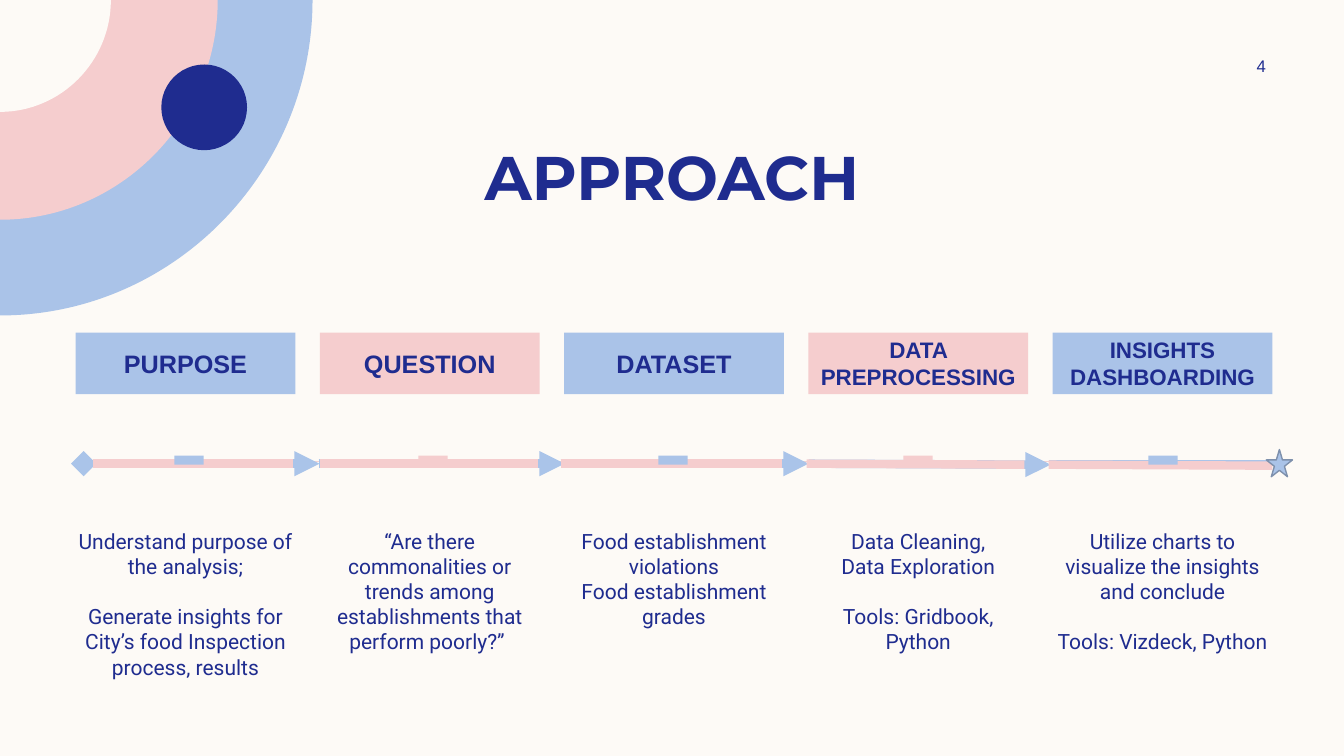
from dataclasses import dataclass

from lxml.etree import SubElement
from pptx import Presentation
from pptx.dml.color import RGBColor
from pptx.enum.shapes import MSO_CONNECTOR, MSO_SHAPE
from pptx.enum.text import MSO_ANCHOR, PP_ALIGN
from pptx.oxml.ns import qn
from pptx.util import Inches, Pt


@dataclass(frozen=True)
class Theme:
    paper: str = "FDFAF6"
    navy: str = "1F2C8F"
    blue: str = "AAC3E8"
    arrow: str = "AAC4E9"
    pink: str = "F5CDCE"
    hairline: str = "F2D1D1"
    star_edge: str = "7E90AC"
    title_font: str = "Montserrat"
    label_font: str = "Arial"
    body_font: str = "Roboto"
    title_size: float = 44
    label_size: float = 18
    long_label_size: float = 16
    body_size: float = 15
    number_size: float = 12
    block_gap: float = 18


@dataclass(frozen=True)
class Step:
    """One column: text blocks set apart by a gap, and lines as (x1, y1, x2, y2)."""
    label: str
    blocks: tuple
    arrow: tuple
    rail: tuple
    marker: float


T = Theme()
STEPS = [
    Step("PURPOSE",
         (("Understand purpose of the analysis;",),
          ("Generate insights for City’s food Inspection process, results",)),
         (0.83, 4.6, 3.17, 4.6), (0.92, 4.6, 2.91, 4.6), 1.73),
    Step("QUESTION",
         (("“Are there commonalities or trends among establishments "
           "that perform poorly?” ",),),
         (3.16, 4.6, 5.6, 4.6), (3.17, 4.6, 5.34, 4.6), 4.15),
    Step("DATASET",
         (("Food establishment violations", "Food establishment grades"),),
         (5.56, 4.6, 8.02, 4.6), (5.56, 4.6, 7.76, 4.6), 6.53),
    Step("DATA PREPROCESSING",
         (("Data Cleaning,", "Data Exploration"),
          ("Tools: Gridbook, Python",)),
         (8.02, 4.6, 10.42, 4.61), (8, 4.6, 10.16, 4.61), 8.96),
    Step("INSIGHTS DASHBOARDING",
         (("Utilize charts to visualize the insights and conclude",),
          ("Tools: Vizdeck, Python",)),
         (10.4, 4.61, 12.62, 4.61), (10.4, 4.61, 12.62, 4.62), 11.39),
]
COLUMN_LEFT, LAST_COLUMN_LEFT, COLUMN_WIDTH = 0.75, 10.44, 2.18
COLUMN_PITCH = (LAST_COLUMN_LEFT - COLUMN_LEFT) / (len(STEPS) - 1)


def rgb(color):
    return RGBColor.from_string(color)


def paint(sp, fill, line=None):
    sp.shadow.inherit = False
    sp.fill.solid()
    sp.fill.fore_color.rgb = rgb(fill)
    if line:
        sp.line.color.rgb = rgb(line)
        sp.line.width = Pt(1)
    else:
        sp.line.fill.background()


def add_shape(s, kind, x, y, w, h, fill, line=None):
    sp = s.shapes.add_shape(kind, Inches(x), Inches(y), Inches(w), Inches(h))
    paint(sp, fill, line)
    return sp


def add_box(s, x, y, w, h):
    return s.shapes.add_textbox(Inches(x), Inches(y), Inches(w), Inches(h))


def write(sp, blocks, *, font, size, bold=False, anchor=MSO_ANCHOR.MIDDLE,
          inset_x=0, inset_y=0):
    """Fill a shape with centred paragraphs, with a gap before each later block."""
    tf = sp.text_frame
    tf.word_wrap = True
    tf.vertical_anchor = anchor
    tf.margin_left = tf.margin_right = Inches(inset_x)
    tf.margin_top = tf.margin_bottom = Inches(inset_y)
    p = None
    for b, block in enumerate(blocks):
        for i, line in enumerate(block):
            p = tf.add_paragraph() if p is not None else tf.paragraphs[0]
            p.alignment = PP_ALIGN.CENTER
            if b and i == 0:
                p.space_before = Pt(T.block_gap)
            r = p.add_run()
            r.text = line
            r.font.name, r.font.size, r.font.bold = font, Pt(size), bold
            r.font.color.rgb = rgb(T.navy)


def add_line(s, x1, y1, x2, y2, color, width, head=None, tail=None):
    c = s.shapes.add_connector(MSO_CONNECTOR.STRAIGHT, Inches(x1), Inches(y1),
                               Inches(x2), Inches(y2))
    c.line.color.rgb = rgb(color)
    c.line.width = Pt(width)
    ln = c.line._get_or_add_ln()
    for tag, kind in (("a:headEnd", head), ("a:tailEnd", tail)):
        if kind:
            SubElement(ln, qn(tag), type=kind)
    SubElement(c._element.spPr, qn("a:effectLst"))


def add_quarter_disc(s, x, y, rx, ry, fill):
    """Lower right quarter of an ellipse centred on (x, y), with one Bézier arc."""
    outline = s.shapes.build_freeform(Inches(x), Inches(y))
    outline.add_line_segments([(Inches(x + rx), Inches(y)),
                               (Inches(x), Inches(y + ry))], close=True)
    sp = outline.convert_to_shape()
    chord = list(sp._element.iter(qn("a:lnTo")))[1]
    chord.tag = qn("a:cubicBezTo")
    bend = 0.55
    for i, (px, py) in enumerate(((rx, ry * bend), (rx * bend, ry))):
        pt = chord.makeelement(qn("a:pt"), {"x": str(Inches(px)),
                                            "y": str(Inches(py))})
        chord.insert(i, pt)
    paint(sp, fill)


def corner_rings(s, x, y):
    for rx, ry, fill in ((3.1, 3.13, T.blue), (2.16, 2.18, T.pink),
                         (1.1, 1.11, T.paper)):
        add_quarter_disc(s, x, y, rx, ry, fill)
    add_shape(s, MSO_SHAPE.OVAL, x + 1.6, y + 0.64, 0.85, 0.85, T.navy)


def heading(s, x, y, w, h):
    write(add_box(s, x, y, w, h), [["APPROACH"]], font=T.title_font,
          size=T.title_size, bold=True, inset_x=0.1, inset_y=0.05)


def page_number(s, x, y, w, h):
    write(add_box(s, x, y, w, h), [["4"]], font=T.label_font,
          size=T.number_size, inset_x=0.1, inset_y=0.05)


def step_column(s, step, x, y, w, fill):
    size = T.long_label_size if " " in step.label else T.label_size
    label = add_shape(s, MSO_SHAPE.RECTANGLE, x, y, w, 0.61, fill)
    write(label, [[step.label]], font=T.label_font, size=size, bold=True)
    write(add_box(s, x, y + 1.89, w, 0.87), step.blocks, font=T.body_font,
          size=T.body_size, anchor=MSO_ANCHOR.TOP, inset_y=0.05)


def timeline(s, fills):
    for i, step in enumerate(STEPS):
        add_line(s, *step.arrow, T.arrow, 6,
                 head="diamond" if i == 0 else None,
                 tail="triangle" if i < len(STEPS) - 1 else None)
    for step, fill in zip(STEPS, fills):
        add_line(s, *step.rail, T.pink, 6)
        add_shape(s, MSO_SHAPE.RECTANGLE, step.marker, 4.52, 0.29, 0.09, fill)
    add_shape(s, MSO_SHAPE.STAR_5_POINT, 12.56, 4.46, 0.26, 0.27,
              T.blue, T.star_edge)


def approach_slide(prs):
    s = prs.slides.add_slide(prs.slide_layouts[6])
    s.background.fill.solid()
    s.background.fill.fore_color.rgb = rgb(T.paper)
    corner_rings(s, 0, 0)
    add_line(s, 0.81, 4.58, 12.63, 4.58, T.hairline, 1)
    heading(s, 0.83, 1.32, 11.67, 0.84)
    page_number(s, 11.97, 0.5, 1.08, 0.3)
    fills = [(T.blue, T.pink)[i % 2] for i in range(len(STEPS))]
    for i, step in enumerate(STEPS):
        step_column(s, step, COLUMN_LEFT + i * COLUMN_PITCH, 3.3,
                    COLUMN_WIDTH, fills[i])
    timeline(s, fills)


def main():
    prs = Presentation()
    prs.slide_width, prs.slide_height = Inches(13.33), Inches(7.5)
    approach_slide(prs)
    prs.save("out.pptx")


if __name__ == "__main__":
    main()
